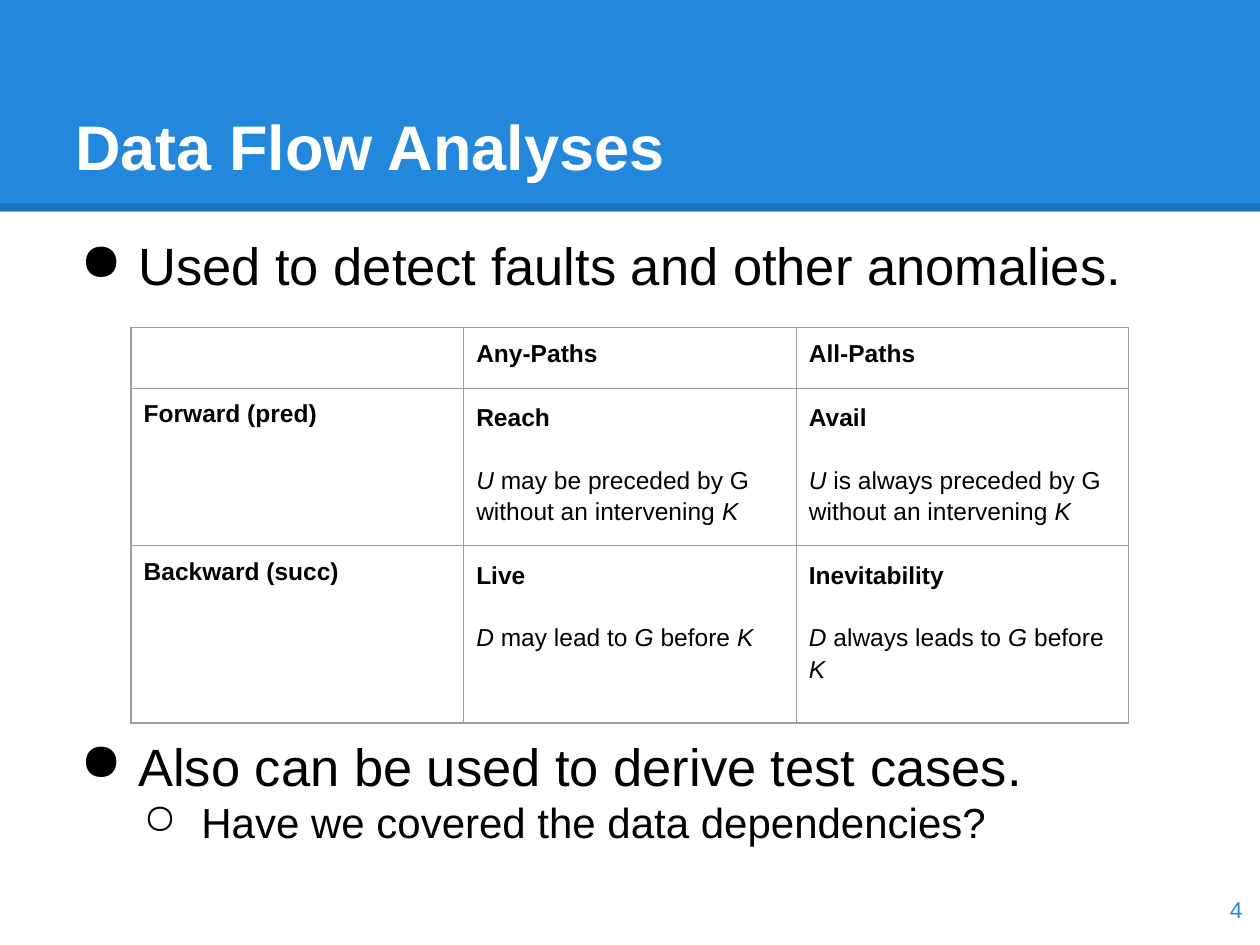
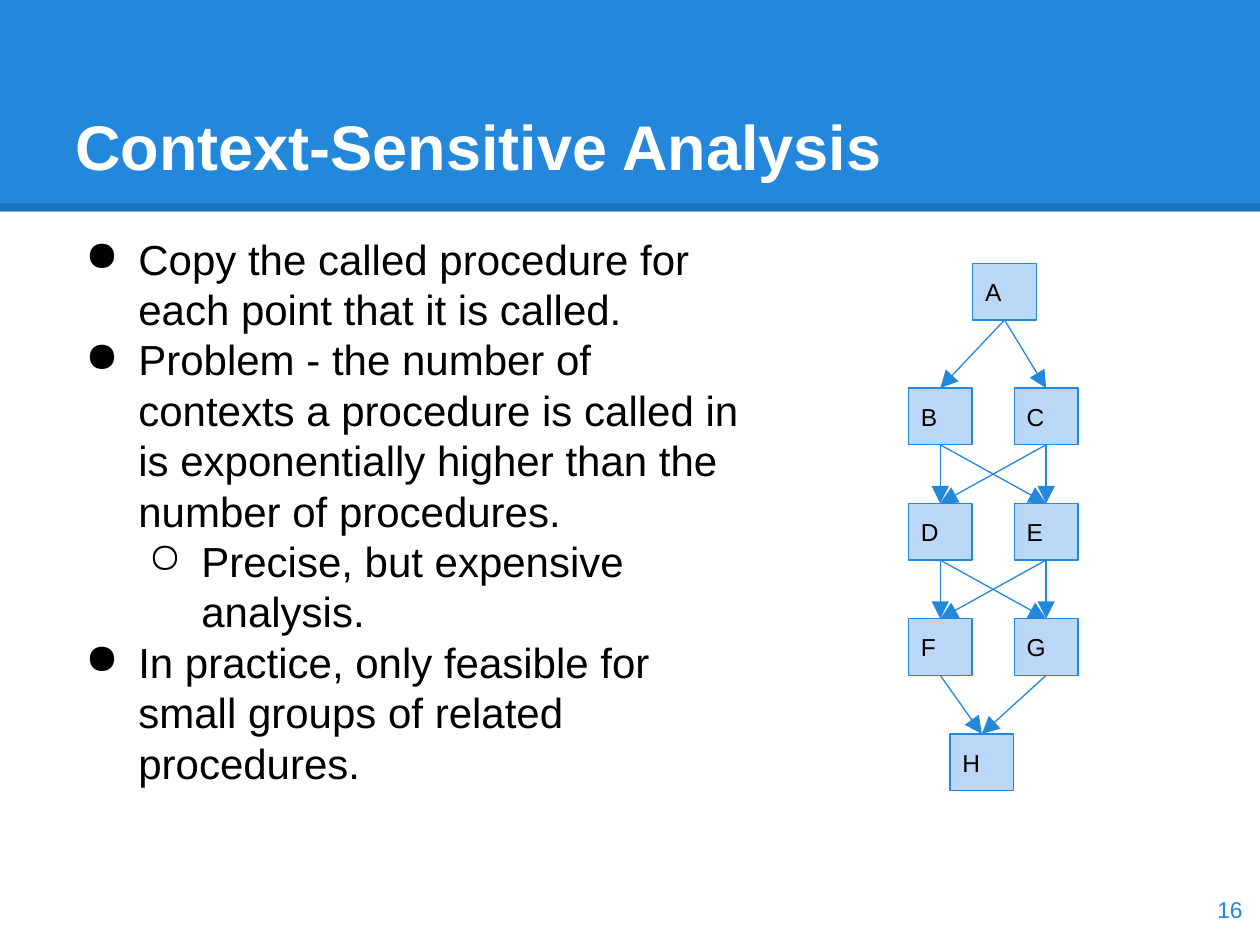
from dataclasses import dataclass
from lxml.etree import SubElement as Sub
from pptx import Presentation
from pptx.dml.color import RGBColor as Rgb
from pptx.enum.shapes import MSO_CONNECTOR as Link, MSO_SHAPE as Form
from pptx.enum.text import MSO_ANCHOR as Anchor, PP_ALIGN as Align
from pptx.oxml import parse_xml
from pptx.oxml.ns import nsdecls, qn
from pptx.util import Inches, Pt


@dataclass(frozen=True)
class Theme:
    """Colours, font and type sizes of the deck."""
    blue: str = "2388DB"
    pale: str = "BBD7F8"
    grey: str = "9E9E9E"
    black: str = "000000"
    white: str = "FFFFFF"
    font: str = "Arial"
    title: int = 36
    large: int = 30
    body: int = 24
    small: int = 14
    page: int = 13
    thin: float = 0.75


look = Theme()
UNIT = Inches(0.25)  # the slide is a grid of 40 columns by 30 rows
COLS, ROWS = 40, 30


def grid(*cells):
    """Turn grid counts into lengths."""
    return [round(n * UNIT) for n in cells]


def dress(box, pars, size, color=look.black, bold=False, anchor=Anchor.TOP):
    """Set the insets of a frame or cell and the font of its paragraphs."""
    for side in ("left", "right", "top", "bottom"):
        setattr(box, "margin_" + side, Inches(0.1))
    box.vertical_anchor = anchor
    for par in pars:
        for run in par.runs:
            font = run.font
            font.name, font.size, font.bold = look.font, Pt(size), bold
            font.color.rgb = Rgb.from_string(color)


deck = Presentation()
deck.slide_width, deck.slide_height = grid(COLS, ROWS)

# Per slide: title, page number, body place, bullet hang,
# then bullets as text, level, size and space before
pages = [
    ("Data Flow Analyses", "4", (2, 7, 36, 21.72), 1.84, [
        ("Used to detect faults and other anomalies.", 0, look.large, 6),
        ("Also can be used to derive test cases.", 0, look.large, 250),
        ("Have we covered the data dependencies?", 1, look.body, 0)]),
    ("Context-Sensitive Analysis", "16", (2, 7, 22, 20.64), 1.68, [
        ("Copy the called procedure for each point that it is called.",
         0, look.body, 6),
        ("Problem - the number of contexts a procedure is called in is "
         "exponentially higher than the number of procedures.",
         0, look.body, 0),
        ("Precise, but expensive analysis.", 1, look.body, 0),
        ("In practice, only feasible for small groups of related "
         "procedures.", 0, look.body, 0)]),
]

slides = []
for title, number, place, hang, items in pages:
    slide = deck.slides.add_slide(deck.slide_layouts[6])
    slides.append(slide)

    # Title band and its darker lower edge
    band = slide.shapes.add_shape(Form.RECTANGLE, *grid(0, 0, COLS, 6.72))
    band.shadow.inherit = False
    band.fill.solid()
    band.fill.fore_color.rgb = Rgb.from_string(look.blue)
    band.line.fill.background()
    edge = slide.shapes.add_connector(
        Link.STRAIGHT, *grid(0, 6.58, COLS, 6.58))
    edge.line.width = Pt(4.5)
    edge.line.color.rgb = Rgb.from_string(look.black)
    tint = edge.line._ln.find(".//" + qn("a:srgbClr"))
    Sub(tint, qn("a:alpha"), val="15000")
    Sub(edge._element.spPr, qn("a:effectLst"))

    # Title and page number
    for text, spot, size, color, bold, anchor, align in [
            (title, (2, 1.2, 36, 5), look.title, look.white, True,
             Anchor.BOTTOM, Align.LEFT),
            (number, (37.44, 27.72, 2.4, 2.28), look.page, look.blue, False,
             Anchor.MIDDLE, Align.RIGHT)]:
        frame = slide.shapes.add_textbox(*grid(*spot)).text_frame
        frame.word_wrap = True
        frame.text = text
        frame.paragraphs[0].alignment = align
        dress(frame, frame.paragraphs, size, color, bold, anchor)

    # Bulleted body
    frame = slide.shapes.add_textbox(*grid(*place)).text_frame
    frame.word_wrap = True
    frame.text = "\n".join(item[0] for item in items)
    for par, (text, level, size, gap) in zip(frame.paragraphs, items):
        dress(frame, [par], size)
        par.level = level
        par.space_before = Pt(gap)
        par.line_spacing = Pt(1.2 * size)
        props = par._p.get_or_add_pPr()
        left, back = grid(2 + 2 * level, -hang)
        props.set("marL", str(left))
        props.set("indent", str(back))
        tint = Sub(props, qn("a:buClr"))
        Sub(tint, qn("a:srgbClr"), val=look.black)
        Sub(props, qn("a:buChar"), char="●○"[level])

# Table of analyses: a cell is a bold head and a note, *italic* in stars
cells = [
    [("",), ("Any-Paths",), ("All-Paths",)],
    [("Forward (pred)",),
     ("Reach", "*U *may be preceded by G without an intervening *K*"),
     ("Avail", "*U *is always preceded by G without an intervening *K*")],
    [("Backward (succ)",),
     ("Live", "*D *may lead to *G* before *K*"),
     ("Inevitability", "*D *always leads to *G* before *K*")],
]
wide, tall = 10.56, [1.92, 4.78, 5.64]
table = slides[0].shapes.add_table(
    3, 3, *grid(4.16, 10.4, 3 * wide, sum(tall))).table
table.first_row = table.horz_banding = False
for col in table.columns:
    col.width = grid(wide)[0]
for row, high, line in zip(table.rows, tall, cells):
    row.height = grid(high)[0]
    for cell, (head, *note) in zip(row.cells, line):
        cell.fill.background()
        for spot, side in enumerate("LRTB"):
            cell._tc.get_or_add_tcPr().insert(spot, parse_xml(
                f'<a:ln{side} {nsdecls("a")} w="{Pt(look.thin)}">'
                f'<a:solidFill><a:srgbClr val="{look.grey}"/></a:solidFill>'
                f'</a:ln{side}>'))
        frame = cell.text_frame
        frame.text = head
        top = frame.paragraphs[0]
        top.font.size = Pt(look.small)
        dress(cell, [top], look.small, bold=True)
        for text in note:
            par = frame.add_paragraph()
            par.space_before = Pt(18)
            top.line_spacing = par.line_spacing = 1.14
            for k, part in enumerate(text.split("*")):
                if part:
                    run = par.add_run()
                    run.text = part
                    run.font.italic = k % 2 == 1
            dress(cell, [par], look.small)

# Call graph: the left and right columns, with A and H between them
west, east, first, step = 28.84, 32.2, 12.32, 3.66
spots = {"A": (30.88, 8.36)}
for k, pair in enumerate(("BC", "DE", "FG")):
    for name, x in zip(pair, (west, east)):
        spots[name] = x, first + k * step
spots["H"] = 30.16, first + 3 * step

nodes = {}
for name, (x, y) in spots.items():
    node = slides[1].shapes.add_shape(Form.RECTANGLE, *grid(x, y, 2.02, 1.8))
    node.shadow.inherit = False
    node.fill.solid()
    node.fill.fore_color.rgb = Rgb.from_string(look.pale)
    node.line.color.rgb = Rgb.from_string(look.blue)
    node.line.width = Pt(look.thin)
    frame = node.text_frame
    frame.text = name
    frame.paragraphs[0].alignment = Align.LEFT
    dress(frame, frame.paragraphs, look.small, anchor=Anchor.MIDDLE)
    nodes[name] = node

for start, end in "AB AC BD BE CD CE DF DG EF EG FH GH".split():
    call = slides[1].shapes.add_connector(Link.STRAIGHT, 0, 0, 0, 0)
    call.begin_connect(nodes[start], 2)
    call.end_connect(nodes[end], 0)
    call.line.color.rgb = Rgb.from_string(look.blue)
    call.line.width = Pt(look.thin)
    Sub(call.line._ln, qn("a:tailEnd"), type="triangle", w="lg", len="lg")
    Sub(call._element.spPr, qn("a:effectLst"))

deck.save("out.pptx")
